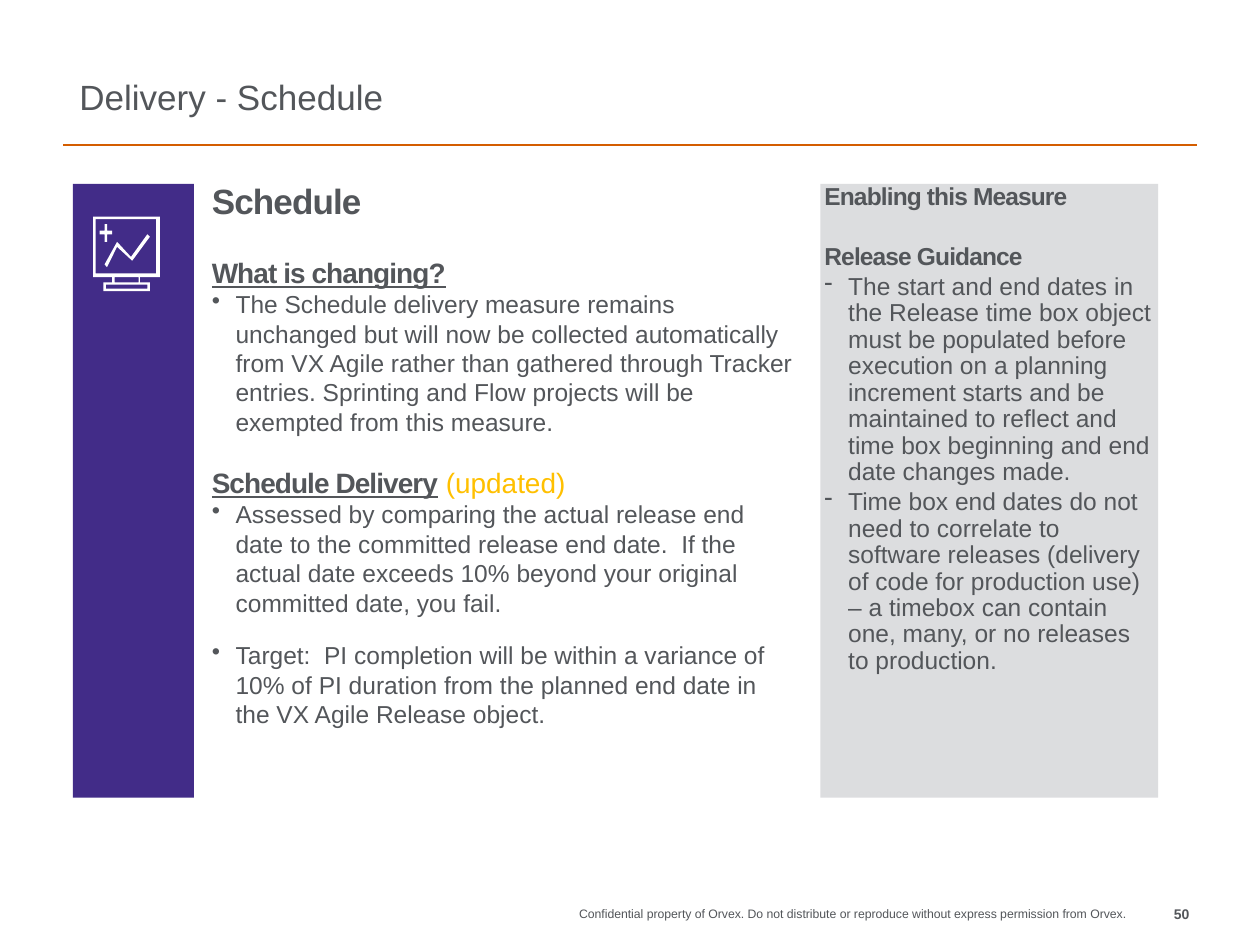
from dataclasses import dataclass
from typing import Optional

import lxml.etree
import pptx
import pptx.dml.color
import pptx.enum.shapes
import pptx.enum.text
import pptx.oxml.ns
import pptx.util

Cm = pptx.util.Cm
Pt = pptx.util.Pt
ANCHOR = pptx.enum.text.MSO_ANCHOR
ALIGN = pptx.enum.text.PP_ALIGN

FONT = "Arial"
COLORS = {
    "text": "53565A",
    "rule": "D45D00",
    "bar": "422C88",
    "icon": "FFFFFF",
    "panel": "DCDDDF",
    "updated": "FFC000",
}
HANGING = 0.48
BODY_TOP, BODY_HEIGHT = 3.71, 12.37


@dataclass(frozen=True)
class Span:
    text: str
    size: float = 14
    bold: bool = False
    underline: bool = False
    tracking: float = 0
    color: str = "text"


@dataclass(frozen=True)
class Line:
    spans: tuple[Span, ...]
    bullet: Optional[str] = None
    spacing: float = 1.0
    before: float = 0
    after: float = 0
    align: ALIGN = ALIGN.LEFT


@dataclass(frozen=True)
class Box:
    left: float
    top: float
    width: float
    height: float
    margins: tuple[float, float, float, float] = (0, 0, 0, 0)
    anchor: ANCHOR = ANCHOR.TOP
    fill: Optional[str] = None


def heading(text: str, size: float = 16, underline: bool = True) -> Span:
    """Return a bold, tightly tracked span."""
    return Span(text, size, bold=True, underline=underline, tracking=-0.5)


def panel_line(span: Span, bullet: Optional[str] = None, before: float = 0) -> Line:
    """Return a line with the spacing of the side panel."""
    return Line((span,), bullet, spacing=0.9, before=before, after=2)


TITLE = Box(1.27, 0.84, 23.32, 1.73, (0.33, 0.18, 0.33, 0.18), ANCHOR.BOTTOM)
FOOTER = Box(9.19, 18.26, 13.51, 0.58)
PAGE_NUMBER = Box(22.71, 18.26, 1.27, 0.58)
BAR = Box(1.47, BODY_TOP, 2.44, BODY_HEIGHT, fill="bar")
MEASURE = Box(3.91, BODY_TOP, 12.4, BODY_HEIGHT, (0.36, 0, 0.25, 0))
PANEL = Box(16.54, BODY_TOP, 6.81, BODY_HEIGHT, (0.08, 0, 0.08, 0), fill="panel")

MEASURE_LINES = [
    Line((heading("Schedule", 20, False),), spacing=0.9),
    Line((heading("What is changing?"),), before=19.3),
    Line((Span(
        "The Schedule delivery measure remains unchanged but will now be collected "
        "automatically from VX Agile rather than gathered through Tracker entries. "
        "Sprinting and Flow projects will be exempted from this measure."),), "•"),
    Line((heading("Schedule Delivery"), heading(" ", underline=False),
          Span("(updated)", 16, color="updated")), before=16.9),
    Line((Span(
        "Assessed by comparing the actual release end date to the committed release "
        "end date.  If the actual date exceeds 10% beyond your original committed "
        "date, you fail."),), "•"),
    Line((Span(
        "Target:  PI completion will be within a variance of 10% of PI duration from "
        "the planned end date in the VX Agile Release object."),), "•", before=13.2),
]
PANEL_LINES = [
    panel_line(heading("Enabling this Measure", 14, False)),
    panel_line(heading("Release Guidance", 14, False), before=17.1),
    panel_line(Span(
        "The start and end dates in the Release time box object must be populated "
        "before execution on a planning increment starts and be maintained to reflect "
        "and time box beginning and end date changes made."), "-"),
    panel_line(Span(
        "Time box end dates do not need to correlate to software releases (delivery of "
        "code for production use) – a timebox can contain one, many, or no releases to "
        "production."), "-"),
]

ICON_UNIT = Cm(0.0254)
TREND = [[(85, 212), (83, 210), (93, 192), (104, 204), (117, 186), (119, 188),
          (105, 207), (93, 196)]]
PLUS = [[(85, 192), (83, 192), (83, 186), (79, 186), (79, 183), (83, 183),
         (83, 178), (85, 178), (85, 183), (89, 183), (89, 186), (85, 186)]]
MONITOR = [
    [(119, 231), (82, 231), (82, 224), (89, 224), (89, 220), (74, 220),
     (74, 172), (127, 172), (127, 220), (111, 220), (111, 224), (119, 224)],
    [(117, 226), (84, 226), (84, 229), (117, 229)],
    [(110, 220), (91, 220), (91, 224), (110, 224)],
    [(76, 217), (124, 217), (124, 174), (76, 174)],
]


def color(name: str) -> pptx.dml.color.RGBColor:
    """Return a named colour."""
    return pptx.dml.color.RGBColor.from_string(COLORS[name])


def paint(shape, name: str) -> None:
    """Fill a shape flatly, without outline or shadow."""
    shape.fill.solid()
    shape.fill.fore_color.rgb = color(name)
    shape.line.fill.background()
    shape.shadow.inherit = False


def style(font, span: Span) -> None:
    """Apply the look of a span to a font."""
    font.name = FONT
    font.size = Pt(span.size)
    font.bold = span.bold
    font.underline = span.underline
    font.color.rgb = color(span.color)
    if span.tracking:
        font._element.set("spc", str(round(span.tracking * 100)))


def write_line(paragraph, line: Line) -> None:
    """Write one line into a paragraph."""
    paragraph.alignment = line.align
    paragraph.line_spacing = line.spacing
    paragraph.space_before = Pt(line.before)
    paragraph.space_after = Pt(line.after)
    if line.bullet:
        properties = paragraph._p.get_or_add_pPr()
        properties.set("marL", str(Cm(HANGING)))
        properties.set("indent", str(-Cm(HANGING)))
        bullet = lxml.etree.SubElement(properties, pptx.oxml.ns.qn("a:buChar"))
        bullet.set("char", line.bullet)
    for span in line.spans:
        run = paragraph.add_run()
        run.text = span.text
        style(paragraph.font if len(line.spans) == 1 else run.font, span)


def add_box(slide, box: Box, lines: list[Line]) -> None:
    """Add a text box, or a filled rectangle, with its lines."""
    place = [Cm(value) for value in (box.left, box.top, box.width, box.height)]
    if box.fill:
        shape = slide.shapes.add_shape(pptx.enum.shapes.MSO_SHAPE.RECTANGLE, *place)
        paint(shape, box.fill)
    else:
        shape = slide.shapes.add_textbox(*place)
    frame = shape.text_frame
    frame.word_wrap = True
    frame.vertical_anchor = box.anchor
    (frame.margin_left, frame.margin_top,
     frame.margin_right, frame.margin_bottom) = map(Cm, box.margins)
    for index, line in enumerate(lines):
        write_line(frame.add_paragraph() if index else frame.paragraphs[0], line)


def add_outline(shapes, contours: list[list[tuple[int, int]]]) -> None:
    """Add one white icon part made of closed contours."""
    builder = shapes.build_freeform(*contours[0][0], scale=ICON_UNIT)
    for index, contour in enumerate(contours):
        if index:
            builder.move_to(*contour[0])
        builder.add_line_segments(contour[1:], close=True)
    paint(builder.convert_to_shape(), "icon")


def add_rule(slide) -> None:
    """Add the line under the title."""
    rule = slide.shapes.add_connector(
        pptx.enum.shapes.MSO_CONNECTOR.STRAIGHT, Cm(1.27), Cm(2.92), Cm(24.13), Cm(2.92))
    rule.line.color.rgb = color("rule")
    rule.line.width = Pt(1)
    lxml.etree.SubElement(rule._element.spPr, pptx.oxml.ns.qn("a:effectLst"))


def main() -> None:
    """Build the slide and save it."""
    presentation = pptx.Presentation()
    presentation.slide_width, presentation.slide_height = Cm(25.4), Cm(19.05)
    slide = presentation.slides.add_slide(presentation.slide_layouts[6])
    add_rule(slide)
    notice = ("Confidential property of Orvex. Do not distribute or reproduce "
              "without express permission from Orvex.")
    add_box(slide, FOOTER, [Line((Span(notice, 7),), align=ALIGN.RIGHT)])
    add_box(slide, PAGE_NUMBER, [Line((Span("50", 8, bold=True),), align=ALIGN.RIGHT)])
    add_box(slide, TITLE, [Line((Span("Delivery - Schedule", 20),), spacing=0.9)])
    add_box(slide, BAR, [])
    icon = slide.shapes.add_group_shape()
    for contours in (TREND, PLUS, MONITOR):
        add_outline(icon.shapes, contours)
    add_box(slide, MEASURE, MEASURE_LINES)
    add_box(slide, PANEL, PANEL_LINES)
    presentation.save("out.pptx")


if __name__ == "__main__":
    main()
